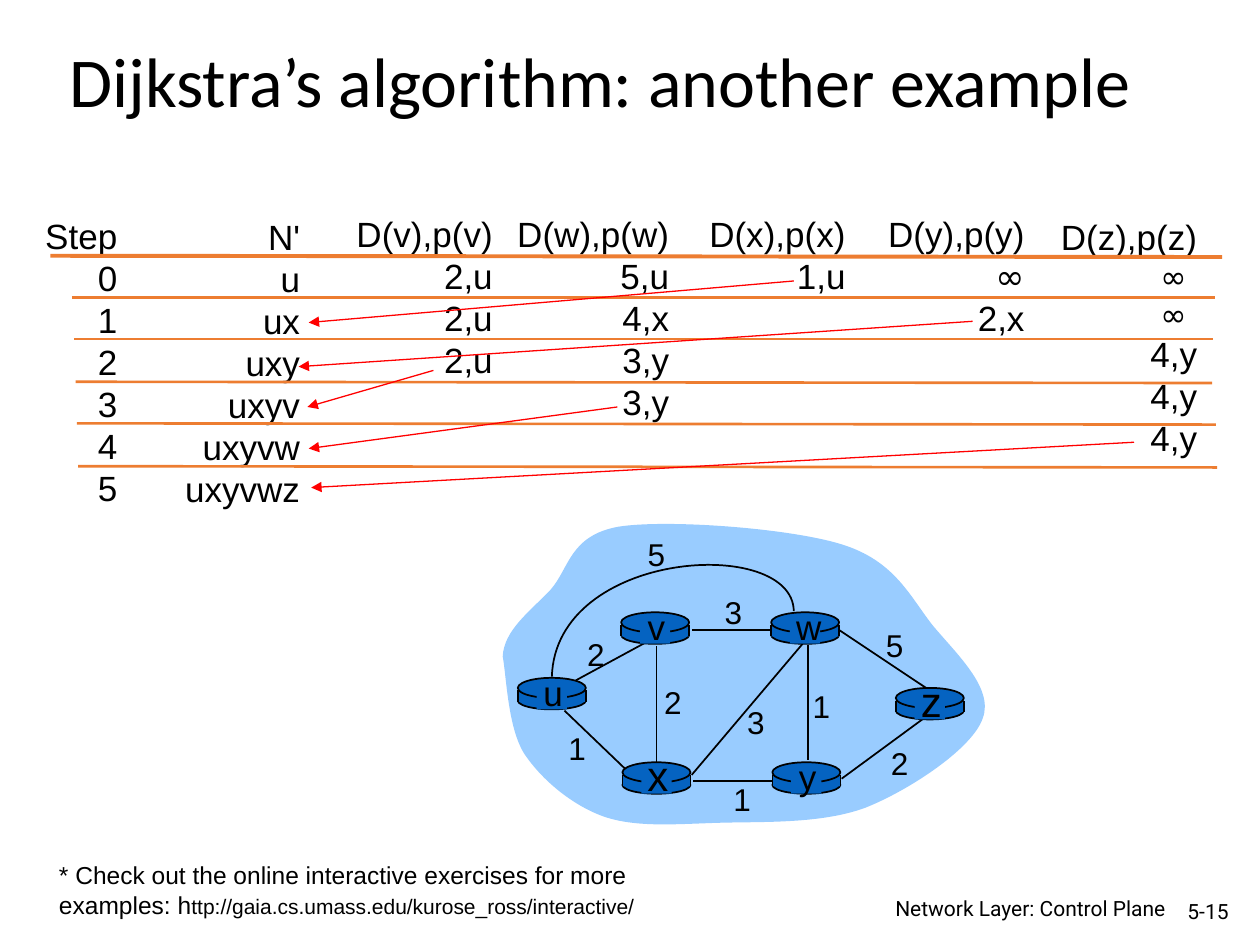
from lxml.etree import SubElement
from pptx import Presentation
from pptx.dml.color import RGBColor
from pptx.enum.shapes import MSO_CONNECTOR, MSO_SHAPE
from pptx.enum.text import MSO_ANCHOR, MSO_AUTO_SIZE, PP_ALIGN
from pptx.oxml.ns import qn
from pptx.util import Pt

PX = 9144  # 100 px to the inch
COLORS = {name: RGBColor.from_string(value) for name, value in {
    "text": "000000", "rule": "ED7D31", "arrow": "FF0000",
    "cloud": "99CCFF", "router": "0563C1"}.items()}

presentation = Presentation()
presentation.slide_width, presentation.slide_height = 1000 * PX, 750 * PX
slide = presentation.slides.add_slide(presentation.slide_layouts[5])
shapes = slide.shapes


def add_text(parent, left, top, width, height, lines, size, align, font="Arial", wrap=False):
    box = parent.add_textbox(left * PX, top * PX, width * PX, height * PX)
    frame = box.text_frame
    frame.text = "\n".join(lines)
    frame.word_wrap = wrap
    for paragraph in frame.paragraphs:
        paragraph.alignment = align
        for run in paragraph.runs:
            run.font.size = Pt(size)
            run.font.name = font
            run.font.color.rgb = COLORS["text"]
    return frame


def add_line(parent, x1, y1, x2, y2, color, weight, arrow=False):
    connector = parent.add_connector(MSO_CONNECTOR.STRAIGHT, x1 * PX, y1 * PX, x2 * PX, y2 * PX)
    connector.line.color.rgb = COLORS[color]
    connector.line.width = Pt(weight)
    properties = connector._element.spPr
    if arrow:
        SubElement(properties.find(qn("a:ln")), qn("a:tailEnd"), type="triangle")
    SubElement(properties, qn("a:effectLst"))


# Title
title = shapes.title
title.left, title.top, title.width, title.height = 45 * PX, 15 * PX, 915 * PX, 105 * PX
title.text_frame.text = "Dijkstra’s algorithm: another example"
title.text_frame.auto_size = MSO_AUTO_SIZE.NONE
title.text_frame.vertical_anchor = MSO_ANCHOR.MIDDLE
paragraph = title.text_frame.paragraphs[0]
paragraph.alignment = PP_ALIGN.LEFT
paragraph.line_spacing = 0.9
paragraph.runs[0].font.size = Pt(40)
paragraph.runs[0].font.name = "Calibri"
paragraph.runs[0].font.color.rgb = COLORS["text"]

# Step columns: left, top, width, height, lines
columns = [
    (26, 165, 77, 243, ["Step", "0", "1", "2", "3", "4", "5"]),
    (137, 166, 111, 243, ["N'", "u", "ux", "uxy", "uxyv", "uxyvw", "uxyvwz"]),
    (273, 164, 128, 143, ["D(v),p(v)", "2,u", "2,u", "2,u"]),
    (398, 164, 143, 177, ["D(w),p(w)", "5,u", "4,x", "3,y", "3,y"]),
    (553, 164, 128, 77, ["D(x),p(x)", "1,u"]),
    (695, 164, 128, 110, ["D(y),p(y)", "∞", "2,x"]),
    (832, 166, 128, 203, ["D(z),p(z)", "∞ ", "∞ ", "4,y", "4,y", "4,y"]),
]
for left, top, width, height, lines in columns:
    frame = add_text(shapes, left, top, width, height, lines, 20, PP_ALIGN.RIGHT)
    frame.auto_size = MSO_AUTO_SIZE.SHAPE_TO_FIT_TEXT
    for paragraph in frame.paragraphs:
        if "∞" in paragraph.text:
            font = paragraph.runs[0].font
            font.name = "Comic Neue"
            font.size = Pt(18 if paragraph.text.endswith(" ") else 20)

# Rules between the rows
add_line(shapes, 40, 203, 970, 204, "rule", 2.25)
for x1, y1, x2, y2 in [(57, 236, 964, 236), (59, 269, 963, 269), (60, 303, 962, 304),
                       (61, 336, 965, 337), (62, 370, 966, 371)]:
    add_line(shapes, x1, y1, x2, y2, "rule", 1.5)

# Cloud and the curved u-w edge: Bézier start, then two controls and an end per piece
network = shapes.add_group_shape().shapes
cloud = [(399, 521),
         (400, 500), (421, 485), (437, 468), (452, 451), (452, 425), (491, 418),
         (529, 412), (626, 419), (668, 432), (710, 445), (722, 473), (740, 496),
         (759, 519), (789, 546), (780, 570), (772, 594), (722, 627), (687, 641),
         (652, 654), (606, 652), (571, 653), (537, 654), (505, 657), (479, 648),
         (454, 639), (430, 619), (416, 598), (403, 577), (402, 537), (399, 521)]
arc = [(630, 485), (629, 425), (441, 436), (438, 537)]
for points, closed in [(cloud, True), (arc, False)]:
    builder = network.build_freeform(*points[0], scale=PX)
    builder.add_line_segments(points[1:], close=closed)
    shape = builder.convert_to_shape()
    segments = list(shape._element.iter(qn("a:lnTo")))
    for first in range(0, len(points) - 1, 3):
        curve = segments[first]
        for segment in segments[first + 1:first + 3]:
            curve.append(segment[0])
            segment.getparent().remove(segment)
        curve.tag = qn("a:cubicBezTo")
    shape.shadow.inherit = False
    if closed:
        shape.fill.solid()
        shape.fill.fore_color.rgb = COLORS["cloud"]
        shape.line.fill.background()
    else:
        shape.fill.background()
        shape.line.color.rgb = COLORS["text"]
        shape.line.width = Pt(1)

# Straight edges
for edge in [(457, 540, 516, 508), (641, 512, 641, 603), (521, 513, 521, 607),
             (549, 615, 637, 511), (668, 618, 732, 571), (614, 620, 550, 620),
             (496, 610, 448, 564), (613, 500, 549, 500), (735, 546, 666, 500)]:
    add_line(network, *edge, "text", 1)

# Routers: name, left, top, label size
for name, left, top, size in [("u", 411, 538, 20), ("x", 494, 605, 24), ("v", 493, 486, 20),
                              ("w", 612, 486, 20), ("y", 613, 605, 20), ("z", 711, 546, 24)]:
    for kind, dx, dy, width, height in [(MSO_SHAPE.OVAL, 0, 11, 54, 14),
                                        (MSO_SHAPE.RECTANGLE, 0, 10, 54, 9),
                                        (MSO_SHAPE.OVAL, 0, 0, 54, 16),
                                        (MSO_SHAPE.RECTANGLE, 15, 2, 24, 23)]:
        shape = network.add_shape(kind, (left + dx) * PX, (top + dy) * PX,
                                  width * PX, height * PX)
        shape.shadow.inherit = False
        shape.fill.solid()
        shape.fill.fore_color.rgb = COLORS["router"]
        if kind == MSO_SHAPE.OVAL:
            shape.line.color.rgb = COLORS["text"]
            shape.line.width = Pt(1)
        else:
            shape.line.fill.background()
    for side in (left, left + 54):
        add_line(network, side, top + 10, side, top + 19, "text", 1)
    rise, height = (10, 43) if size == 20 else (15, 50)
    add_text(network, left + 10, top - rise, 36, height, [name], size, PP_ALIGN.CENTER)

# Edge costs
for cost, left, top in [("2", 456, 499), ("2", 517, 537), ("1", 441, 574), ("3", 583, 553),
                        ("1", 572, 614), ("1", 635, 540), ("2", 697, 586), ("5", 693, 492),
                        ("3", 565, 466), ("5", 504, 420)]:
    add_text(network, left, top, 34, 40, [cost], 18, PP_ALIGN.CENTER)

# Arrows from each chosen minimum to the next step
for arrow in [(630, 223, 245, 256), (772, 255, 237, 291), (344, 294, 244, 323),
              (490, 323, 245, 356), (900, 351, 247, 387)]:
    add_line(shapes, *arrow, "arrow", 0.75, arrow=True)

# Footer and footnote
for left, width, height, text in [(925, 60, 30, "5-15"),
                                  (697, 238, 26, "Network Layer: Control Plane")]:
    frame = add_text(shapes, left, 708, width, height, [text], 12, PP_ALIGN.RIGHT,
                     "Roboto", wrap=True)
    frame.vertical_anchor = MSO_ANCHOR.MIDDLE
note = add_text(shapes, 37, 678, 493, 57,
                ["* Check out the online interactive exercises for more examples: h"],
                14, PP_ALIGN.LEFT, wrap=True)
link = note.paragraphs[0].add_run()
link.text = "ttp://gaia.cs.umass.edu/kurose_ross/interactive/"
link.font.size = Pt(12)
link.font.name = "Arial"
link.font.color.rgb = COLORS["text"]

presentation.save("out.pptx")
